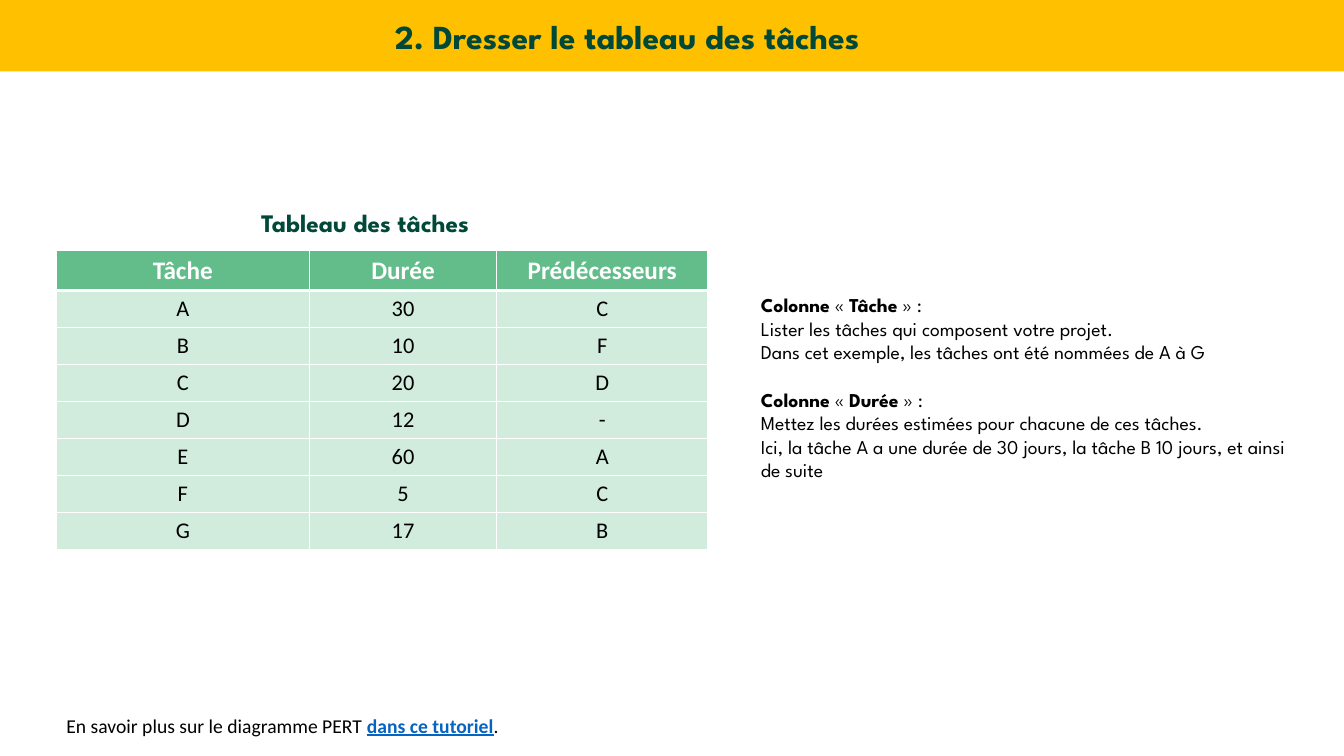
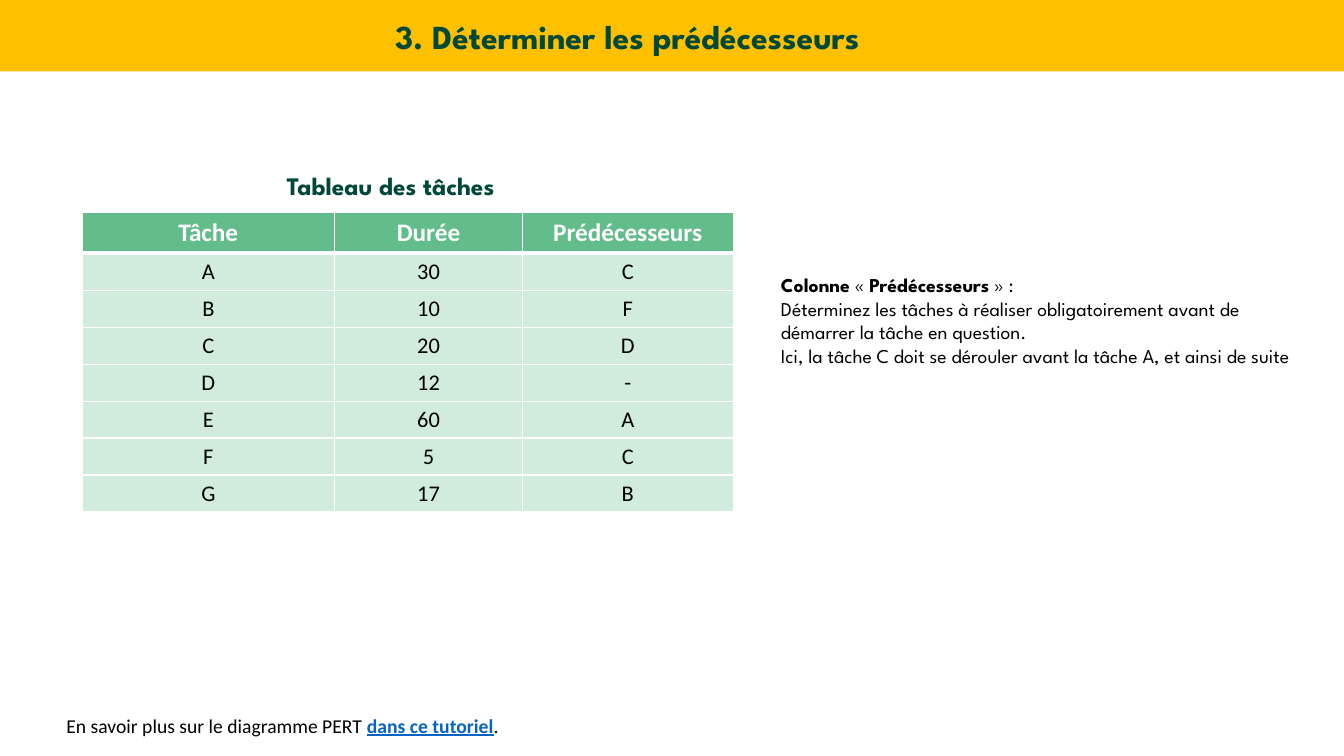
from dataclasses import dataclass

from lxml import etree
from pptx import Presentation
from pptx.dml.color import RGBColor as Color
from pptx.enum.shapes import MSO_SHAPE as Shape
from pptx.enum.text import MSO_ANCHOR as Anchor, MSO_AUTO_SIZE as AutoSize, PP_ALIGN as Align
from pptx.oxml.ns import qn
from pptx.util import Pt


@dataclass(frozen=True)
class Theme:
    band: Color = Color(0xFF, 0xC0, 0x00)
    heading: Color = Color(0x00, 0x48, 0x37)
    text: Color = Color(0x00, 0x00, 0x00)
    link: Color = Color(0x05, 0x63, 0xC1)
    white: Color = Color(0xFF, 0xFF, 0xFF)
    header_fill: Color = Color(0x62, 0xBD, 0x8A)
    cell_fill: Color = Color(0xD1, 0xEB, 0xDC)
    display_font: str = "League Spartan"
    table_font: str = "Calibri"
    title_size: int = 24
    caption_size: int = 18
    header_size: int = 18
    cell_size: int = 16
    body_size: int = 14
    thin_border: int = 1
    thick_border: int = 3


THEME = Theme()
SLIDE_WIDTH, SLIDE_HEIGHT = 960, 540
BAND_HEIGHT = 51
COLUMN_WIDTHS = (180.6, 134, 150.6)
ROW_HEIGHT = 26
CAPTION_OFFSET = (90, -34)
NOTE_WIDTH = 396
NOTE_GAP = 16.8

TASKS = (
    ("Tâche", "Durée", "Prédécesseurs"),
    ("A", "30", "C"),
    ("B", "10", "F"),
    ("C", "20", "D"),
    ("D", "12", "-"),
    ("E", "60", "A"),
    ("F", "5", "C"),
    ("G", "17", "B"),
)


def format_run(run, font, size, color, bold=False, underline=False):
    run.font.name = font
    run.font.size = Pt(size)
    run.font.color.rgb = color
    run.font.bold = bold
    run.font.underline = underline


def add_text_box(slide, left, top, width, height):
    shape = slide.shapes.add_textbox(Pt(left), Pt(top), Pt(width), Pt(height))
    text_frame = shape.text_frame
    text_frame.word_wrap = True
    text_frame.auto_size = AutoSize.SHAPE_TO_FIT_TEXT
    return text_frame


def add_heading(slide, text, size, left, top, width, height):
    text_frame = add_text_box(slide, left, top, width, height)
    text_frame.text = text
    paragraph = text_frame.paragraphs[0]
    paragraph.alignment = Align.CENTER
    format_run(paragraph.runs[0], THEME.display_font, size, THEME.heading, bold=True)
    return text_frame


def add_band(slide):
    shape = slide.shapes.add_shape(Shape.RECTANGLE, 0, 0, Pt(SLIDE_WIDTH), Pt(BAND_HEIGHT))
    shape.shadow.inherit = False
    shape.fill.solid()
    shape.fill.fore_color.rgb = THEME.band
    shape.line.fill.background()


def add_title(slide, text):
    text_frame = add_heading(slide, text, THEME.title_size, 120, 9.4, 656, 36)
    text_frame.auto_size = AutoSize.NONE
    text_frame.vertical_anchor = Anchor.MIDDLE
    text_frame.paragraphs[0].line_spacing = 0.9


def add_footer(slide):
    paragraph = add_text_box(slide, 40.3, 506.2, 744.5, 24.5).paragraphs[0]
    parts = (
        ("En savoir plus sur le diagramme PERT ", False),
        ("dans ce tutoriel", True),
        (".", False),
    )
    for text, linked in parts:
        run = paragraph.add_run()
        run.text = text
        color = THEME.link if linked else THEME.text
        format_run(run, THEME.table_font, THEME.body_size, color, linked, linked)


def set_borders(cell, **widths):
    properties = cell._tc.get_or_add_tcPr()
    for side in "LRTB":
        width = Pt(widths.get(side, THEME.thin_border))
        line = etree.SubElement(properties, qn(f"a:ln{side}"), w=str(width))
        fill = etree.SubElement(line, qn("a:solidFill"))
        etree.SubElement(fill, qn("a:srgbClr"), val=str(THEME.white))


def format_cell(cell, text, row):
    if row == 0:
        set_borders(cell, B=THEME.thick_border)
        fill, size, color = THEME.header_fill, THEME.header_size, THEME.white
    else:
        set_borders(cell, T=THEME.thick_border if row == 1 else THEME.thin_border)
        fill, size, color = THEME.cell_fill, THEME.cell_size, THEME.text
    cell.fill.solid()
    cell.fill.fore_color.rgb = fill
    cell.text_frame.text = text
    paragraph = cell.text_frame.paragraphs[0]
    paragraph.alignment = Align.CENTER
    format_run(paragraph.runs[0], THEME.table_font, size, color, bold=row == 0)


def add_task_table(slide, left, top):
    caption_left, caption_top = left + CAPTION_OFFSET[0], top + CAPTION_OFFSET[1]
    add_heading(slide, "Tableau des tâches", THEME.caption_size, caption_left, caption_top, 261, 29)
    frame = slide.shapes.add_table(
        len(TASKS), len(COLUMN_WIDTHS), Pt(left), Pt(top),
        Pt(sum(COLUMN_WIDTHS)), Pt(ROW_HEIGHT * len(TASKS)),
    )
    table = frame.table
    table.horz_banding = False
    for column, width in zip(table.columns, COLUMN_WIDTHS):
        column.width = Pt(width)
    for row, values in enumerate(TASKS):
        table.rows[row].height = Pt(ROW_HEIGHT)
        for column, text in enumerate(values):
            format_cell(table.cell(row, column), text, row)


def add_note_paragraph(paragraph, parts):
    for text, bold in parts:
        run = paragraph.add_run()
        run.text = text
        format_run(run, THEME.display_font, THEME.body_size, THEME.text, bold)


def add_column_notes(slide, left, top, height, notes):
    text_frame = add_text_box(slide, left, top, NOTE_WIDTH, height)
    for index, (column_name, sentences) in enumerate(notes):
        paragraph = text_frame.add_paragraph() if index else text_frame.paragraphs[0]
        if index:
            paragraph.space_before = Pt(NOTE_GAP)
        heading = (("Colonne", True), (" « ", False), (column_name, True), (" » :", False))
        add_note_paragraph(paragraph, heading)
        for sentence in sentences:
            add_note_paragraph(text_frame.add_paragraph(), ((sentence, False),))


def add_step_slide(presentation, title):
    slide = presentation.slides.add_slide(presentation.slide_layouts[6])
    add_band(slide)
    add_title(slide, title)
    add_footer(slide)
    return slide


def main():
    presentation = Presentation()
    presentation.slide_width = Pt(SLIDE_WIDTH)
    presentation.slide_height = Pt(SLIDE_HEIGHT)

    slide = add_step_slide(presentation, "2. Dresser le tableau des tâches")
    add_task_table(slide, 40.3, 178.6)
    add_column_notes(slide, 536.4, 206, 177, (
        ("Tâche", (
            "Lister les tâches qui composent votre projet.",
            "Dans cet exemple, les tâches ont été nommées de A à G",
        )),
        ("Durée", (
            "Mettez les durées estimées pour chacune de ces tâches.",
            "Ici, la tâche A a une durée de 30 jours, la tâche B 10 jours, et ainsi de suite",
        )),
    ))

    slide = add_step_slide(presentation, "3. Déterminer les prédécesseurs")
    add_task_table(slide, 58.5, 152)
    add_column_notes(slide, 550.8, 191.5, 92, (
        ("Prédécesseurs", (
            "Déterminez les tâches à réaliser obligatoirement avant de démarrer la tâche en question.",
            "Ici, la tâche C doit se dérouler avant la tâche A, et ainsi de suite",
        )),
    ))

    presentation.save("out.pptx")


if __name__ == "__main__":
    main()
